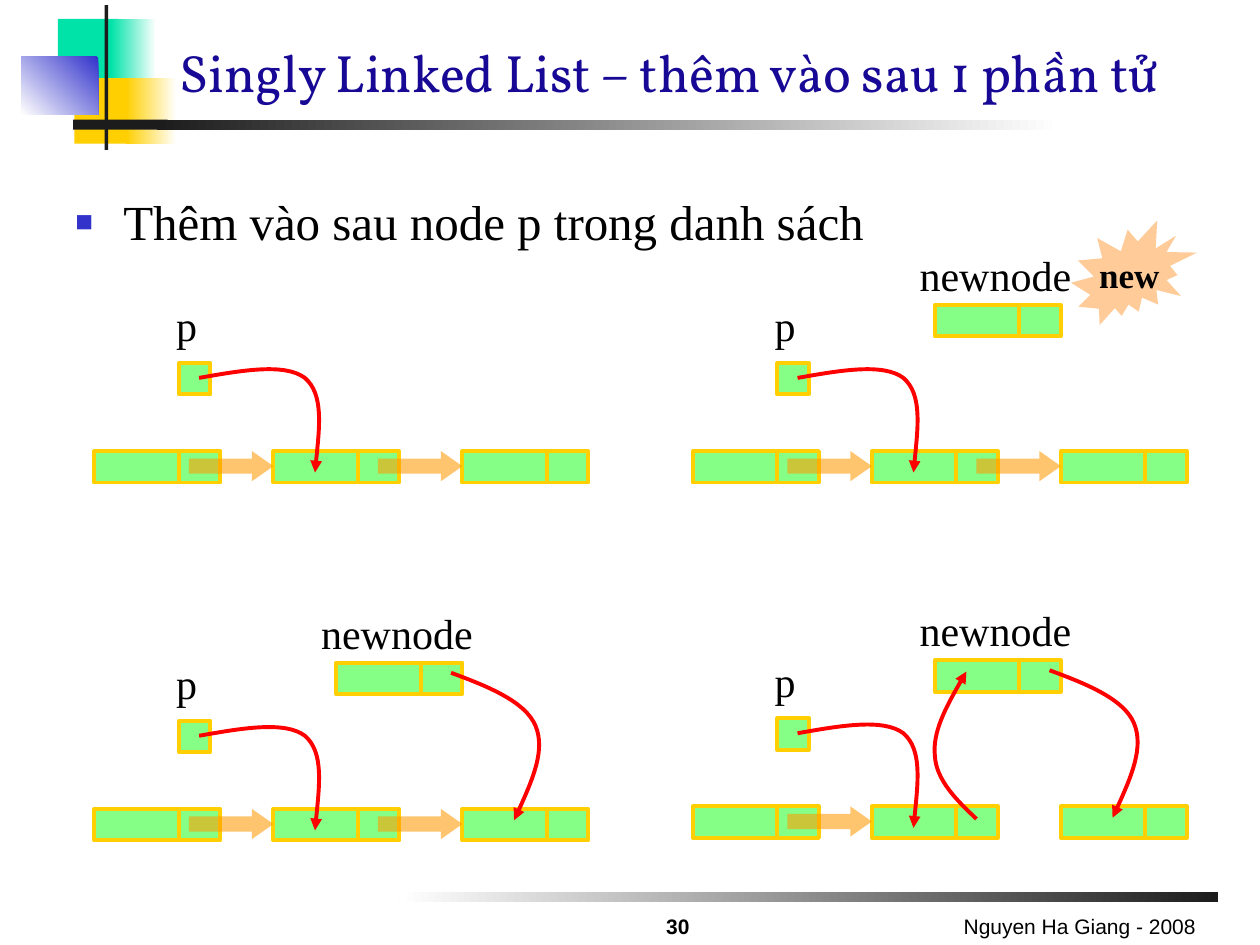
from pptx import Presentation
from pptx.dml.color import RGBColor
from pptx.enum import shapes, text
from pptx.oxml import ns, xmlchemy
from pptx.util import Inches, Pt

INK = RGBColor(0x1C, 0x1C, 0x1C)
WHITE = RGBColor(0xFF, 0xFF, 0xFF)
BLACK = RGBColor(0, 0, 0)
TEAL = RGBColor(0x00, 0xE3, 0xA8)
GOLD = RGBColor(0xFF, 0xCF, 0x01)
BLUE = RGBColor(0x33, 0x33, 0xCC)
NAVY = RGBColor(0x17, 0x09, 0x95)
GREEN = RGBColor(0x00, 0xFF, 0x00)
ORANGE = RGBColor(0xFF, 0x99, 0x00)
PEACH = RGBColor(0xFF, 0xCC, 0x99)
RED = RGBColor(0xFF, 0x00, 0x00)
SERIF = "Times New Roman"
KIND = shapes.MSO_SHAPE
ALIGN = text.PP_ALIGN
ANCHOR = text.MSO_ANCHOR

NODE_LEFTS = (0, 1.42, 2.92)
DATA_WIDTH, NEXT_WIDTH, NODE_HEIGHT = 0.67, 0.33, 0.25
POINTER = [(0.83, 1.07), (1.17, 1.01), (1.51, 0.95), (1.67, 1.07),
           (1.82, 1.2), (1.78, 1.51), (1.75, 1.82)]
NEW_TO_LAST = [(2.83, 0.57), (3.13, 0.68), (3.42, 0.8), (3.5, 0.99),
               (3.58, 1.18), (3.46, 1.46), (3.33, 1.74)]
MIDDLE_TO_NEW = [(2.25, 1.75), (2.09, 1.6), (1.93, 1.44), (1.92, 1.25),
                 (1.9, 1.06), (2.03, 0.82), (2.17, 0.58)]


def add_child(parent, tag, **attributes):
    child = xmlchemy.OxmlElement(tag)
    for name, value in attributes.items():
        child.set(name, value)
    parent.append(child)
    return child


def add_block(slide, kind, left, top, width, height, color, alpha=None):
    block = slide.shapes.add_shape(
        kind, Inches(left), Inches(top), Inches(width), Inches(height))
    block.shadow.inherit = False
    block.fill.solid()
    block.fill.fore_color.rgb = color
    block.line.fill.background()
    if alpha:
        tint = block.fill._xPr.find(".//" + ns.qn("a:srgbClr"))
        add_child(tint, "a:alpha", val=str(alpha * 1000))
    return block


def add_fade(slide, left, top, width, height, start, end, angle=180):
    fade = add_block(slide, KIND.RECTANGLE, left, top, width, height, start)
    fade.fill.gradient()
    fade.fill.gradient_angle = angle
    for stop, color in zip(fade.fill.gradient_stops, (start, end)):
        stop.color.rgb = color


def write(frame, words, size, font, color=BLACK, bold=False, align=ALIGN.LEFT):
    frame.text = words
    paragraph = frame.paragraphs[0]
    paragraph.alignment = align
    run = paragraph.runs[0].font
    run.size, run.name, run.bold = Pt(size), font, bold
    run.color.rgb = color
    return paragraph


def add_text(slide, left, top, width, height, words, size, font,
             anchor=ANCHOR.TOP, wrap=True, **style):
    frame = slide.shapes.add_textbox(
        Inches(left), Inches(top), Inches(width), Inches(height)).text_frame
    frame.word_wrap = wrap
    frame.vertical_anchor = anchor
    return write(frame, words, size, font, **style)


def add_cell(slide, left, top, width):
    cell = add_block(slide, KIND.RECTANGLE, left, top, width, NODE_HEIGHT, GREEN, 48)
    cell.line.color.rgb = GOLD
    cell.line.width = Pt(2.25)


def add_node(slide, left, top):
    add_cell(slide, left, top, DATA_WIDTH)
    add_cell(slide, left + DATA_WIDTH, top, NEXT_WIDTH)


def add_curve(slide, left, top, points):
    start, *rest = [(Inches(left + x), Inches(top + y)) for x, y in points]
    builder = slide.shapes.build_freeform(*start)
    builder.add_line_segments(rest, close=False)
    curve = builder.convert_to_shape()
    curve.shadow.inherit = False
    curve.fill.background()
    curve.line.color.rgb = RED
    curve.line.width = Pt(2.25)
    add_child(curve.line._get_or_add_ln(), "a:tailEnd", type="triangle")
    segments = list(curve._element.iter(ns.qn("a:lnTo")))
    outline = segments[0].getparent()
    for first in range(0, len(segments), 3):
        bezier = add_child(outline, "a:cubicBezTo")
        for segment in segments[first:first + 3]:
            bezier.append(segment[0])
            outline.remove(segment)


def add_list(slide, left, top, links=2):
    row = top + 1.65
    for node_left in NODE_LEFTS:
        add_node(slide, left + node_left, row)
    for node_left in NODE_LEFTS[:links]:
        arrow = add_block(slide, KIND.RIGHT_ARROW, left + node_left + 0.75 + 0.08 * bool(node_left),
                          row, 0.67, 0.24, ORANGE, 57)
        arrow.adjustments[1] = 0.71
    add_cell(slide, left + 0.67, top + 0.95, 0.25)
    add_text(slide, left + 0.55, top + 0.4, 0.36, 0.5, "p", 24, SERIF, wrap=False)
    add_curve(slide, left, top, POINTER)


def add_new_node(slide, left, top):
    add_node(slide, left + 1.92, top + 0.49)
    add_text(slide, left + 1.7, top, 1.4, 0.5, "newnode", 24, SERIF, wrap=False)


def add_burst(slide, left, top):
    burst = add_block(slide, KIND.EXPLOSION2, left, top, 1, 0.83, PEACH)
    burst.text_frame.word_wrap = False
    burst.text_frame.vertical_anchor = ANCHOR.MIDDLE
    write(burst.text_frame, "new", 20, SERIF, bold=True, align=ALIGN.CENTER)


def add_emblem(slide, left, top):
    add_block(slide, KIND.RECTANGLE, left + 0.29, top + 0.11, 0.48, 0.52, TEAL)
    add_fade(slide, left + 0.71, top + 0.11, 0.36, 0.52, WHITE, TEAL)
    add_block(slide, KIND.RECTANGLE, left + 0.42, top + 0.58, 0.46, 0.52, GOLD)
    add_fade(slide, left + 0.83, top + 0.58, 0.4, 0.52, WHITE, GOLD)
    add_fade(slide, left, top + 0.41, 0.61, 0.46, BLUE, WHITE, 225)
    add_block(slide, KIND.RECTANGLE, left + 0.66, top, 0.03, 1.15, INK)
    add_block(slide, KIND.RECTANGLE, left + 0.41, top + 0.91, 0.75, 0.08, INK)
    add_fade(slide, left + 1.08, top + 0.91, 7.16, 0.08, WHITE, INK)


def add_heading(slide, left, top):
    add_text(slide, left, top, 8.5, 0.67, "Singly Linked List – thêm vào sau 1 phần tử",
             30, "Vollkorn", ANCHOR.BOTTOM, color=NAVY)


def add_body(slide, left, top):
    point = add_text(slide, left, top, 9.29, 5.53,
                     "Thêm vào sau node p trong danh sách", 28, SERIF)
    properties = point._p.get_or_add_pPr()
    properties.set("marL", str(Inches(0.38)))
    properties.set("indent", str(Inches(-0.38)))
    add_child(add_child(properties, "a:buClr"), "a:srgbClr", val=str(BLUE))
    add_child(properties, "a:buSzPct", val="60000")
    add_child(properties, "a:buFont", typeface="Arial")
    add_child(properties, "a:buChar", char="■")


def add_footer(slide, left, top):
    add_fade(slide, left, top, 6.5, 0.08, INK, WHITE)
    add_text(slide, left + 3.25, top + 0.09, 3.17, 0.33, "Nguyen Ha Giang - 2008",
             12, "Arial", ANCHOR.BOTTOM, align=ALIGN.RIGHT)
    add_text(slide, left + 1.75, top + 0.15, 0.92, 0.27, "30",
             12, "Arial", ANCHOR.BOTTOM, bold=True, align=ALIGN.CENTER)


def main():
    deck = Presentation()
    deck.slide_width, deck.slide_height = Inches(10), Inches(7.5)
    slide = deck.slides.add_slide(deck.slide_layouts[6])
    add_emblem(slide, 0.17, 0.04)
    add_heading(slide, 1.33, 0.2)
    add_body(slide, 0.5, 1.47)

    start, created, linked, inserted = (0.75, 1.93), (5.5, 1.93), (0.75, 4.77), (5.5, 4.75)
    add_list(slide, *start)
    add_list(slide, *created)
    add_list(slide, *linked)
    add_list(slide, *inserted, links=1)
    for stage in (created, linked, inserted):
        add_new_node(slide, *stage)
    for stage in (linked, inserted):
        add_curve(slide, *stage, NEW_TO_LAST)
    add_curve(slide, *inserted, MIDDLE_TO_NEW)
    add_burst(slide, 8.5, 1.75)
    add_footer(slide, 3.17, 7.08)
    deck.save("out.pptx")


if __name__ == "__main__":
    main()
